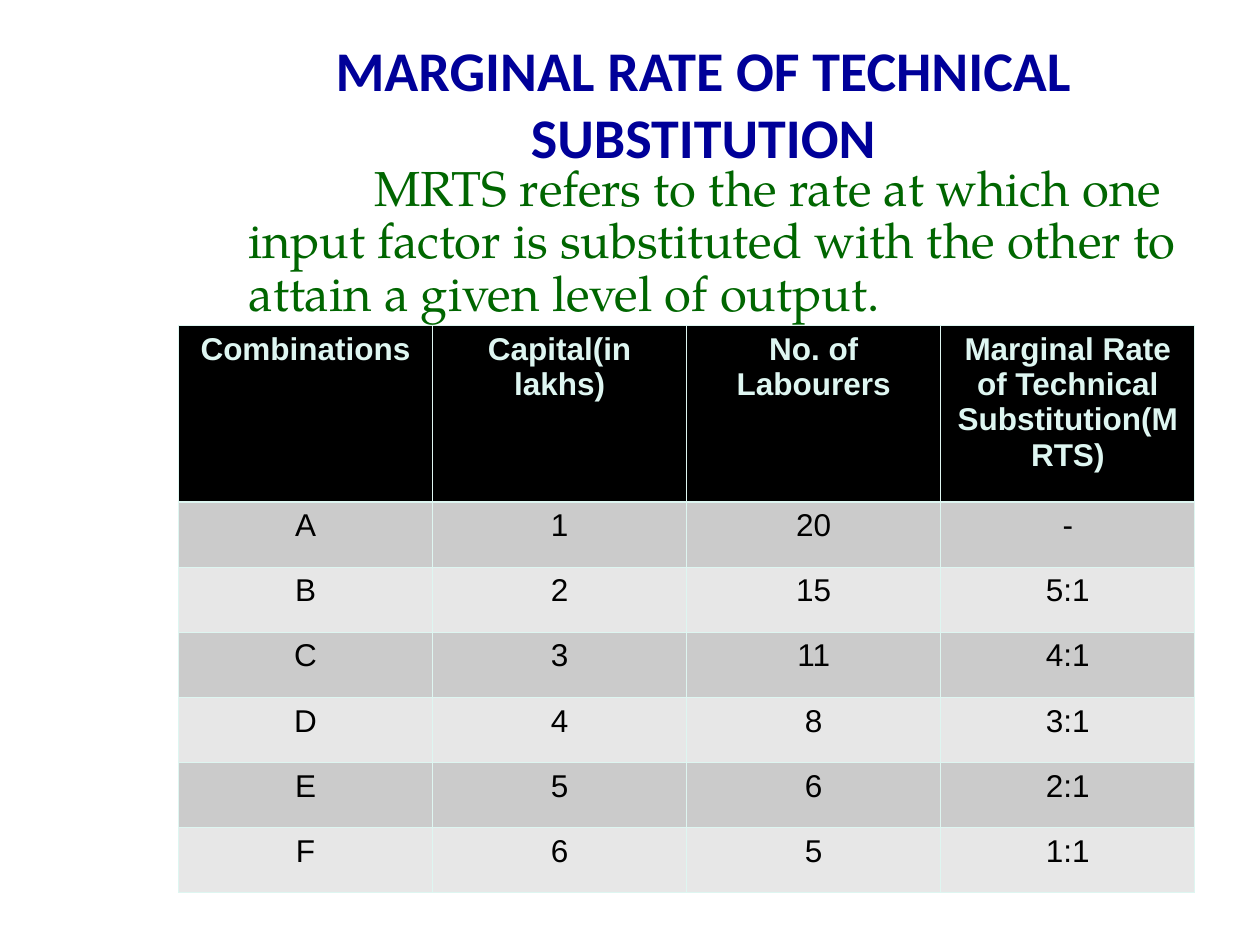
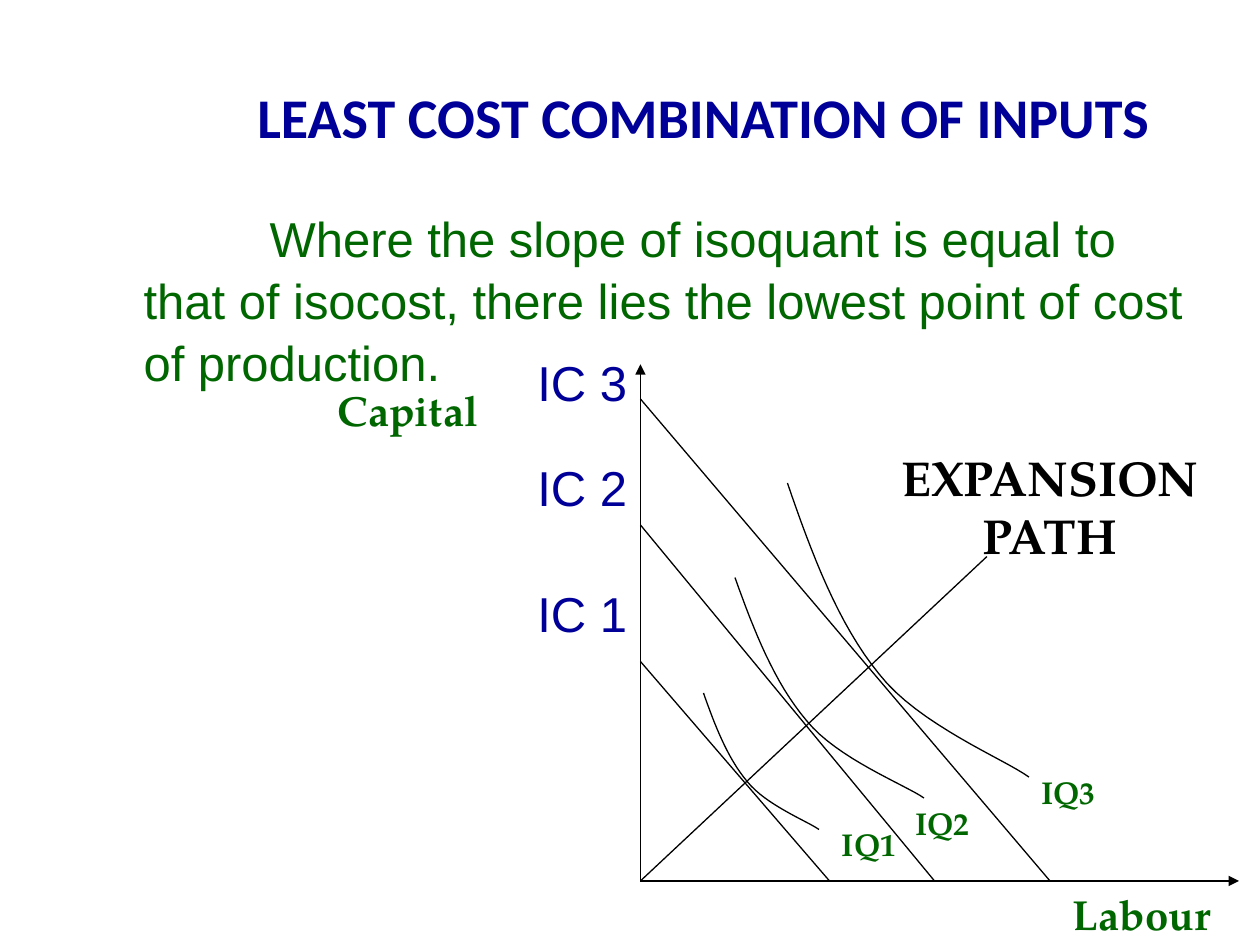
import pptx
import pptx.dml.color
import pptx.enum.shapes
import pptx.enum.text
import pptx.oxml
import pptx.oxml.ns
import pptx.util
from lxml import etree

PX = 7620  # EMU, 120 px to the inch
NAVY = pptx.dml.color.RGBColor(0x00, 0x00, 0x99)
GREEN = pptx.dml.color.RGBColor(0x00, 0x66, 0x00)
BLACK = pptx.dml.color.RGBColor(0x00, 0x00, 0x00)
MINT = pptx.dml.color.RGBColor(0xDE, 0xF6, 0xF1)
DARK_BAND = pptx.dml.color.RGBColor(0xCB, 0xCB, 0xCB)
LIGHT_BAND = pptx.dml.color.RGBColor(0xE7, 0xE7, 0xE7)
SERIF = "TeX Gyre Pagella"
CENTER = pptx.enum.text.PP_ALIGN.CENTER
MIDDLE = pptx.enum.text.MSO_ANCHOR.MIDDLE
TOP = pptx.enum.text.MSO_ANCHOR.TOP
TITLE = dict(font="Calibri", size=32, color=NAVY, bold=True, align=CENTER, anchor=MIDDLE)
BODY = dict(size=28, color=GREEN, margin=45, indent=120)


def px(*lengths):
    return [pptx.util.Emu(round(length * PX)) for length in lengths]


def write(frame, text, *, font="Arial", size=18, color=BLACK, bold=False, align=None,
          anchor=TOP, spacing=None, margin=0, indent=0):
    """Fill a text frame with one paragraph; indent applies to its first line."""
    frame.word_wrap = True
    frame.vertical_anchor = anchor
    paragraph = frame.paragraphs[0]
    paragraph.alignment = align
    paragraph.line_spacing = spacing
    if margin:
        properties = paragraph._p.get_or_add_pPr()
        properties.set("marL", str(margin * PX))
        properties.set("indent", str(indent * PX))
    run = paragraph.add_run()
    run.text = text
    run.font.name = font
    run.font.size = pptx.util.Pt(size)
    run.font.bold = bold
    run.font.color.rgb = color


deck = pptx.Presentation()
deck.slide_width, deck.slide_height = px(1200, 900)
blank = deck.slide_layouts[6]

# Slide 1: marginal rate of technical substitution
mrts = deck.slides.add_slide(blank).shapes
write(mrts.add_textbox(*px(190, 36, 960, 124)).text_frame,
      "MARGINAL RATE OF TECHNICAL SUBSTITUTION", **TITLE)
write(mrts.add_textbox(*px(180, 150, 960, 720)).text_frame,
      "MRTS refers to the rate at which one input factor is substituted with the other "
      "to attain a given level of output.", font=SERIF, spacing=0.9, **BODY)

combinations = [
    ("Combinations", "Capital(in lakhs)", "No. of Labourers",
     "Marginal Rate of Technical Substitution(MRTS)"),
    ("A", "1", "20", "-"),
    ("B", "2", "15", "5:1"),
    ("C", "3", "11", "4:1"),
    ("D", "4", "8", "3:1"),
    ("E", "5", "6", "2:1"),
    ("F", "6", "5", "1:1"),
]
schedule = mrts.add_table(len(combinations), 4, *px(170, 310, 968, 540)).table
for row, values in enumerate(combinations):
    is_header = row == 0
    schedule.rows[row].height = px(168 if is_header else 62)[0]
    band = BLACK if is_header else DARK_BAND if row % 2 else LIGHT_BAND
    for column, value in enumerate(values):
        cell = schedule.cell(row, column)
        write(cell.text_frame, value, color=MINT if is_header else BLACK,
              bold=is_header, align=CENTER)
        cell_properties = cell._tc.get_or_add_tcPr()
        for side in "LRTB":
            under_header = (row, side) in ((0, "B"), (1, "T"))
            cell_properties.append(pptx.oxml.parse_xml(
                f'<a:ln{side} {pptx.oxml.ns.nsdecls("a")} w="{18669 if under_header else 5715}">'
                f'<a:solidFill><a:srgbClr val="{MINT}"/></a:solidFill></a:ln{side}>'))
        cell.fill.solid()
        cell.fill.fore_color.rgb = band

# Slide 2: least cost combination of inputs
least_cost = deck.slides.add_slide(blank).shapes
write(least_cost.add_textbox(*px(190, 36, 960, 150)).text_frame,
      "LEAST COST COMBINATION OF INPUTS", **TITLE)
write(least_cost.add_textbox(*px(80, 190, 1080, 474)).text_frame,
      "Where the slope of isoquant is equal to that of isocost, there lies the lowest point "
      "of cost of production.", spacing=1.05, **BODY)

ORIGIN_X, ORIGIN_Y = 610, 839
axes = [(ORIGIN_X, ORIGIN_Y, 1180, ORIGIN_Y), (ORIGIN_X, ORIGIN_Y, ORIGIN_X, 347)]
isocosts = [(ORIGIN_X, capital, labour, ORIGIN_Y)
            for capital, labour in ((630, 790), (500, 890), (380, 1000))]
expansion_path = (ORIGIN_X, ORIGIN_Y, 940, 530)
for ends in [*axes, *isocosts, expansion_path]:
    line = least_cost.add_connector(pptx.enum.shapes.MSO_CONNECTOR.STRAIGHT, *px(*ends))
    line.line.color.rgb = BLACK
    line.line.width = pptx.util.Pt(0.75)
    if ends in axes:
        etree.SubElement(line.line._get_or_add_ln(), pptx.oxml.ns.qn("a:tailEnd"), type="triangle")
    etree.SubElement(line._element.spPr, pptx.oxml.ns.qn("a:effectLst"))

# Every isoquant is the same pair of Bezier arcs, given as shares of its width and height
ARCS = [
    [(0, 0), (0.1, 0.24), (0.21, 0.48), (0.38, 0.65)],
    [(0.38, 0.65), (0.54, 0.82), (0.9, 0.94), (1, 1)],
]
STEPS = 16
curve = [(0, 0)]
for start, pull_out, pull_in, end in ARCS:
    for step in range(1, STEPS + 1):
        t = step / STEPS
        weights = ((1 - t) ** 3, 3 * t * (1 - t) ** 2, 3 * t ** 2 * (1 - t), t ** 3)
        curve.append([sum(w * point[axis] for w, point in
                          zip(weights, (start, pull_out, pull_in, end))) for axis in (0, 1)])

for left, top, width, height in [(670, 660, 110, 130), (700, 550, 180, 210), (750, 460, 230, 280)]:
    points = [px(left + x * width, top + y * height) for x, y in curve]
    outline = least_cost.build_freeform(*points[0])
    outline.add_line_segments(points[1:], close=False)
    isoquant = outline.convert_to_shape()
    isoquant.shadow.inherit = False
    isoquant.fill.background()
    isoquant.line.color.rgb = BLACK
    isoquant.line.width = pptx.util.Pt(0.75)

axis_name = dict(font=SERIF, size=24, color=GREEN, bold=True)
isocost_name = dict(size=28, color=NAVY)
isoquant_name = dict(font=SERIF, size=18, color=GREEN, bold=True)
labels = [
    ("Capital", (310, 360, 270, 60), axis_name),
    ("Labour", (1010, 840, 190, 60), axis_name),
    ("IC 1", (500, 550, 150, 68), isocost_name),
    ("IC 2", (500, 430, 150, 68), isocost_name),
    ("IC 3", (500, 330, 150, 68), isocost_name),
    ("IQ1", (790, 780, 110, 48), isoquant_name),
    ("IQ2", (860, 760, 110, 48), isoquant_name),
    ("IQ3", (980, 730, 110, 48), isoquant_name),
    ("EXPANSION PATH", (830, 420, 340, 125),
     dict(font=SERIF, size=28, bold=True, align=CENTER)),
]
for text, box, style in labels:
    write(least_cost.add_textbox(*px(*box)).text_frame, text, **style)

deck.save("out.pptx")
